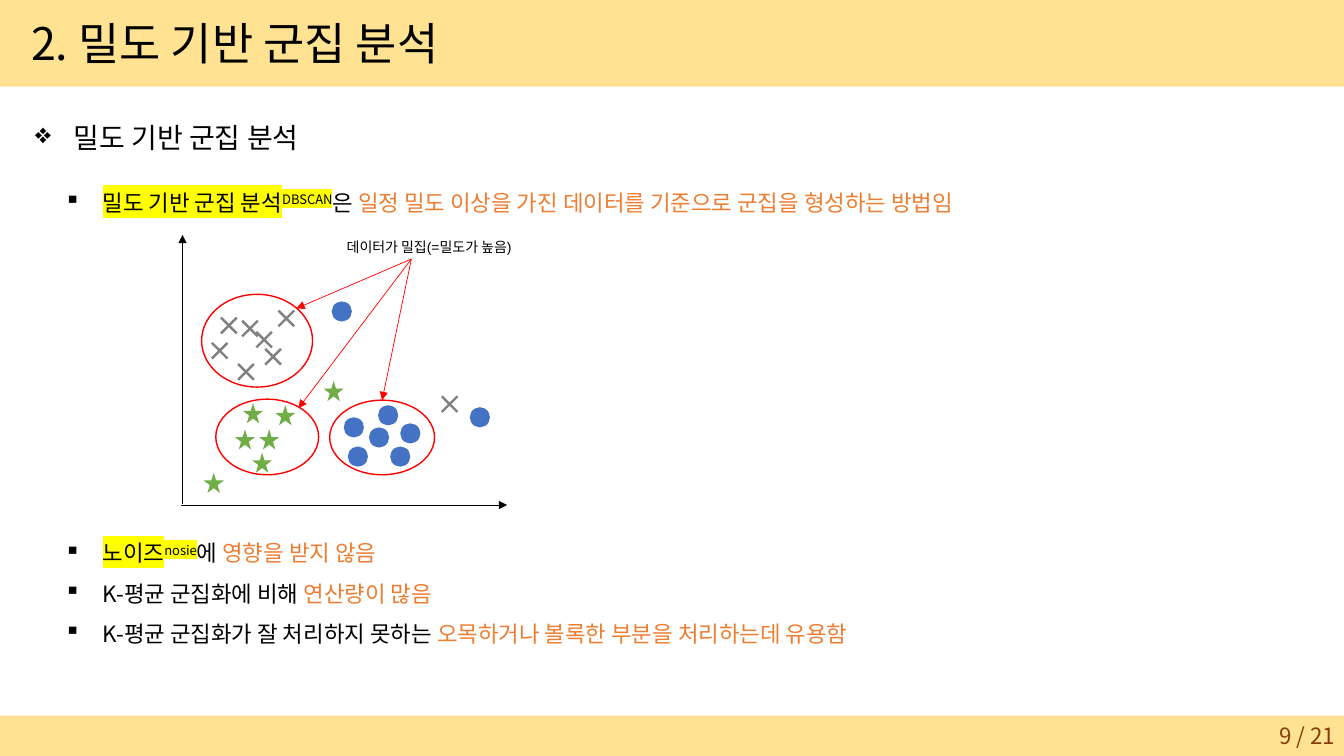
from lxml import etree
from pptx import Presentation
from pptx import util as u
from pptx.dml.color import RGBColor
from pptx.enum import shapes, text
from pptx.oxml.ns import qn

FONT = "Noto Sans CJK KR"
BLACK, RED, ORANGE, YELLOW = "000000", "FF0000", "ED7D31", "FFFF00"
BAND, BLUE, GREEN, GRAY, BROWN = "FFE292", "4472C4", "70AD47", "808080", "843C0B"
KIND = shapes.MSO_SHAPE

# Marker centres of each group, noise points included
STARS = [(2.51, 4.1), (2.6, 4.59), (2.67, 4.36), (2.83, 4.12), (2.43, 4.36),
         (2.12, 4.79), (3.31, 3.88)]
DOTS = [(3.85, 4.12), (3.51, 4.24), (3.76, 4.34), (4.07, 4.3), (3.55, 4.53),
        (3.97, 4.53), (4.76, 4.14), (3.39, 3.09)]
CROSSES = [(2.27, 3.23), (2.48, 3.26), (2.62, 3.37), (2.44, 3.69), (2.18, 3.48),
           (2.71, 3.54), (2.84, 3.16), (4.46, 4.01)]


def color(value):
    return RGBColor.from_string(value)


def inches(*lengths):
    return [u.Inches(length) for length in lengths]


def add_shape(slide, kind, box, fill=None, line=None):
    shape = slide.shapes.add_shape(kind, *inches(*box))
    shape.shadow.inherit = False
    if fill:
        shape.fill.solid()
        shape.fill.fore_color.rgb = color(fill)
    else:
        shape.fill.background()
    if line:
        shape.line.color.rgb = color(line)
        shape.line.width = u.Pt(1)
    else:
        shape.line.fill.background()
    return shape


def add_markers(slide, kind, centers, size, fill):
    for x, y in centers:
        marker = add_shape(slide, kind, (x - size / 2, y - size / 2, size, size), fill)
        if kind == KIND.MATH_MULTIPLY:
            marker.adjustments[0] = 0.08


def add_arrow(slide, start, end, line_color):
    arrow = slide.shapes.add_connector(shapes.MSO_CONNECTOR.STRAIGHT,
                                       *inches(*start, *end))
    arrow.line.color.rgb = color(line_color)
    arrow.line.width = u.Pt(0.5)
    etree.SubElement(arrow.line._get_or_add_ln(), qn("a:tailEnd"), type="triangle")
    etree.SubElement(arrow._element.spPr, qn("a:effectLst"))
    return arrow


def add_run(paragraph, words, size, font=FONT, fill=BLACK, highlight=None, raised=False):
    run = paragraph.add_run()
    run.text = words
    for name, value in {"size": u.Pt(size), "name": font}.items():
        setattr(run.font, name, value)
    run.font.color.rgb = color(fill)
    properties = run._r.get_or_add_rPr()
    latin = properties.find(qn("a:latin"))
    latin.addnext(etree.Element(qn("a:ea"), typeface=FONT))
    if highlight:
        mark = etree.Element(qn("a:highlight"))
        etree.SubElement(mark, qn("a:srgbClr"), val=highlight)
        latin.addprevious(mark)
    if raised:
        properties.set("baseline", "30000")


def add_bullet(paragraph, symbol):
    properties = paragraph._p.get_or_add_pPr()
    properties.set("marL", str(u.Inches(0.38)))
    properties.set("indent", str(-u.Inches(0.38)))
    etree.SubElement(properties, qn("a:buChar"), char=symbol)
    paragraph.line_spacing = 1.5


def add_text(slide, box, lines, size, bullet=None, wrap=False, align=None, **style):
    """Each line is a list of (words, format) runs."""
    frame = slide.shapes.add_textbox(*inches(*box)).text_frame
    frame.word_wrap = wrap
    if wrap:
        frame.vertical_anchor = text.MSO_ANCHOR.MIDDLE
    else:
        frame.auto_size = text.MSO_AUTO_SIZE.SHAPE_TO_FIT_TEXT
    for index, runs in enumerate(lines):
        paragraph = frame.add_paragraph() if index else frame.paragraphs[0]
        if bullet:
            add_bullet(paragraph, bullet)
        if align is not None:
            paragraph.alignment = align
        for words, run_format in runs:
            add_run(paragraph, words, size, **{**style, **run_format})


def add_scatter(slide):
    # Data points
    add_markers(slide, KIND.STAR_5_POINT, STARS, 0.2, GREEN)
    add_markers(slide, KIND.OVAL, DOTS, 0.2, BLUE)
    add_markers(slide, KIND.MATH_MULTIPLY, CROSSES, 0.3, GRAY)

    # Dense clusters
    dot_cluster, _, _ = [
        add_shape(slide, KIND.OVAL, box, line=RED)
        for box in [(3.27, 3.97, 1.04, 0.74), (2.14, 3.96, 1.02, 0.75),
                    (2, 2.92, 1.1, 0.92)]]

    # Arrows from the label to the clusters
    label_point = (4.08, 2.57)
    for end in [(2.94, 3.06), (2.96, 4.05)]:
        add_arrow(slide, label_point, end, RED)
    add_arrow(slide, label_point, (3.79, 3.97), RED).end_connect(dot_cluster, 0)

    # Axes
    add_arrow(slide, (1.8, 5.01), (5.03, 5.01), BLACK)
    add_arrow(slide, (1.81, 5), (1.81, 2.33), BLACK)
    add_text(slide, (3.34, 2.32, 2.02, 0.27),
             [[("데이터가 밀집(=밀도가 높음)", {})]], 10, font="Arial")


def main():
    presentation = Presentation()
    presentation.slide_width, presentation.slide_height = inches(13.33, 7.5)
    slide = presentation.slides.add_slide(presentation.slide_layouts[6])
    marked = {"highlight": YELLOW}
    english = {"highlight": YELLOW, "raised": True}
    accent = {"fill": ORANGE}

    # Header and footer bands
    add_shape(slide, KIND.RECTANGLE, (0, 0, 13.33, 0.86), BAND)
    add_shape(slide, KIND.RECTANGLE, (0, 7.1, 13.33, 0.4), BAND)

    # Headings
    add_text(slide, (0.25, 0.98, 2.92, 0.56), [[("밀도 기반 군집 분석", {})]], 20, "❖")
    add_text(slide, (0.21, 0.11, 4.47, 0.64), [[("2. 밀도 기반 군집 분석", {})]], 32)

    # Definition, diagram and properties
    add_text(slide, (0.54, 1.69, 9.54, 0.47), [
        [("밀도 기반 군집 분석", marked), ("DBSCAN", english), ("은 ", {}),
         ("일정 밀도 이상을 가진 데이터를 기준으로 군집을 형성하는 방법임", accent)],
    ], 16, "▪")
    add_scatter(slide)
    add_text(slide, (0.54, 5.17, 8.32, 1.27), [
        [("노이즈", marked), ("nosie", english), ("에 ", {}),
         ("영향을 받지 않음", accent)],
        [("K-평균 군집화에 비해 ", {}), ("연산량이 많음", accent)],
        [("K-평균 군집화가 잘 처리하지 못하는 ", {}),
         ("오목하거나 볼록한 부분을 처리하는데 유용함", accent)],
    ], 16, "▪")

    # Page number
    add_text(slide, (10.34, 7.1, 3, 0.4), [[("9 / 21", {})]], 16, wrap=True,
             align=text.PP_ALIGN.RIGHT, fill=BROWN)

    presentation.save("out.pptx")


if __name__ == "__main__":
    main()
